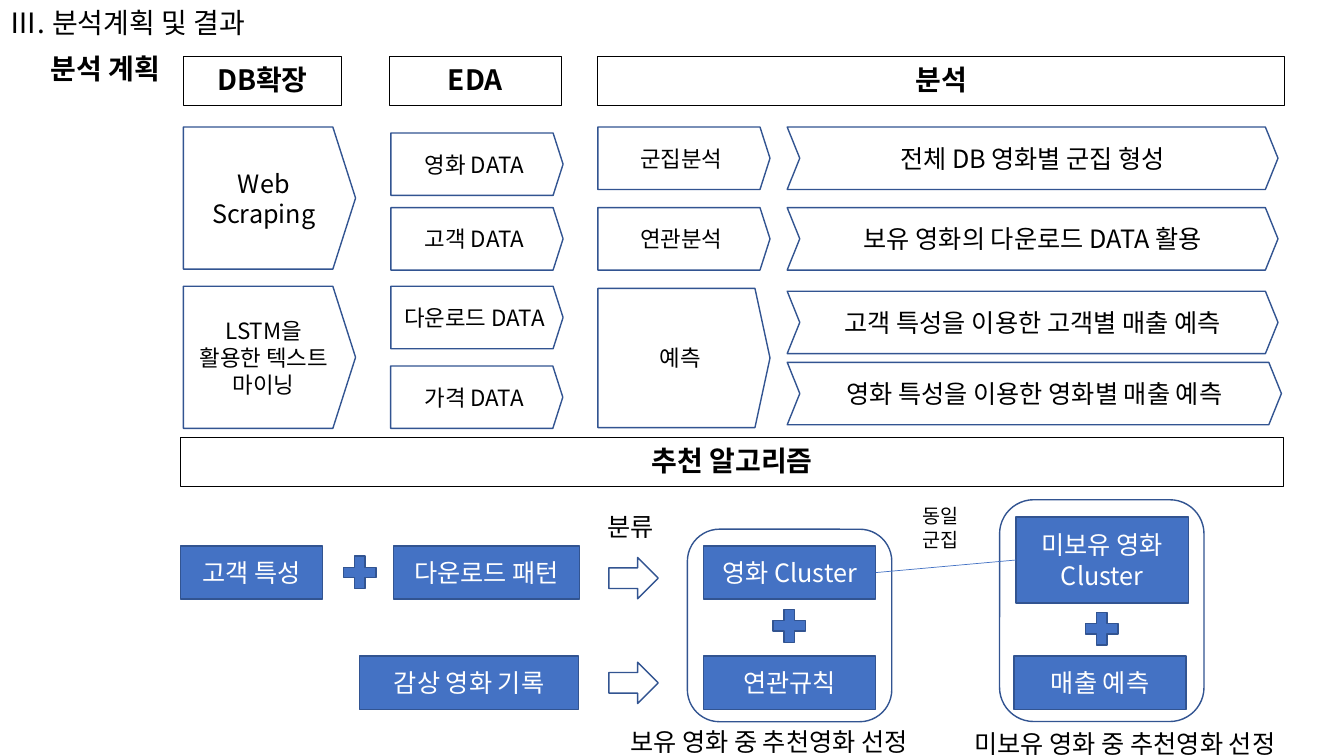
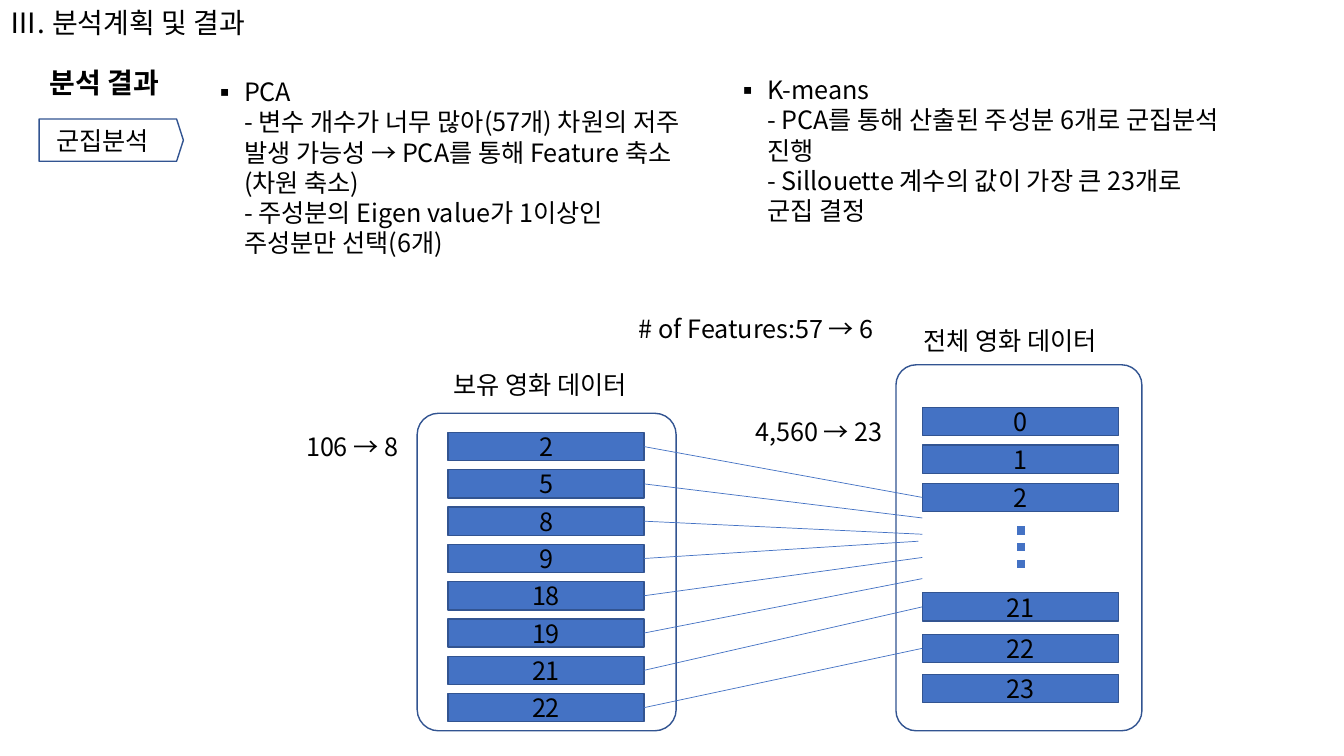
from dataclasses import dataclass
from typing import Optional

from lxml.etree import SubElement
from pptx import Presentation
from pptx.dml.color import RGBColor
from pptx.enum.dml import MSO_LINE
from pptx.enum.shapes import MSO_CONNECTOR, MSO_SHAPE as Preset
from pptx.enum.text import MSO_ANCHOR as Anchor, PP_ALIGN as Align
from pptx.oxml.ns import qn
from pptx.util import Pt

BLACK = RGBColor(0x00, 0x00, 0x00)
WHITE = RGBColor(0xFF, 0xFF, 0xFF)
BLUE = RGBColor(0x44, 0x72, 0xC4)
NAVY = RGBColor(0x32, 0x54, 0x91)
FONT = "Noto Sans CJK KR"
TOP, LEFT, BOTTOM, RIGHT = range(4)


@dataclass(frozen=True)
class TextStyle:
    size: float = 18
    color: RGBColor = BLACK
    bold: bool = False
    align: Align = Align.CENTER
    anchor: Anchor = Anchor.MIDDLE
    spacing: float = 1.0


@dataclass(frozen=True)
class Look:
    preset: Preset
    fill: Optional[RGBColor] = None
    line: RGBColor = NAVY
    weight: float = 1
    adjust: Optional[float] = None


@dataclass(frozen=True)
class Item:
    x: float
    y: float
    w: float
    h: float
    text: str = ""


# Text styles
TITLE = TextStyle(20, align=Align.LEFT, spacing=0.9)
HEADING = TextStyle(20, bold=True, spacing=0.9)
BODY = TextStyle()
SMALL = TextStyle(16)
ON_BLUE = TextStyle(color=WHITE)
LABEL = TextStyle(align=Align.LEFT, anchor=Anchor.TOP)
NOTE = TextStyle(14, align=Align.LEFT, anchor=Anchor.TOP)
CENTER_LABEL = TextStyle(anchor=Anchor.TOP)

# Shape looks
HEADER_BOX = Look(Preset.RECTANGLE, line=BLACK, weight=0.75)
STEP = Look(Preset.PENTAGON, adjust=0.16)
WIDE_STEP = Look(Preset.PENTAGON, adjust=0.108)
CHEVRON = Look(Preset.CHEVRON, adjust=0.202)
BLUE_BOX = Look(Preset.RECTANGLE, fill=BLUE)
PLUS = Look(Preset.MATH_PLUS, fill=BLUE)
ARROW = Look(Preset.RIGHT_ARROW, fill=WHITE)
GROUP = Look(Preset.ROUNDED_RECTANGLE)
DATA_GROUP = Look(Preset.ROUNDED_RECTANGLE, adjust=0.082)


def write(frame, text: str, style: TextStyle):
    frame.word_wrap = True
    frame.vertical_anchor = style.anchor
    paragraph = frame.paragraphs[0]
    paragraph.alignment = style.align
    paragraph.line_spacing = style.spacing
    for index, line in enumerate(text.split("\n")):
        if index:
            paragraph.add_line_break()
        run = paragraph.add_run()
        run.text = line
        font = run.font
        font.size, font.bold, font.name = Pt(style.size), style.bold, FONT
        font.color.rgb = style.color
        SubElement(font._element, qn("a:ea")).set("typeface", FONT)
    return paragraph


def draw(slide, item: Item, look: Look, style: TextStyle = BODY):
    shape = slide.shapes.add_shape(
        look.preset, Pt(item.x), Pt(item.y), Pt(item.w), Pt(item.h))
    shape.shadow.inherit = False
    if look.fill is None:
        shape.fill.background()
    else:
        shape.fill.solid()
        shape.fill.fore_color.rgb = look.fill
    shape.line.color.rgb = look.line
    shape.line.width = Pt(look.weight)
    if look.adjust is not None:
        shape.adjustments[0] = look.adjust
    if item.text:
        write(shape.text_frame, item.text, style)
    return shape


def label(slide, item: Item, style: TextStyle = LABEL):
    box = slide.shapes.add_textbox(
        Pt(item.x), Pt(item.y), Pt(item.w), Pt(item.h))
    return write(box.text_frame, item.text, style)


def bullet(slide, item: Item) -> None:
    properties = label(slide, item)._p.get_or_add_pPr()
    properties.set("marL", str(Pt(22.5)))
    properties.set("indent", str(-Pt(22.5)))
    SubElement(properties, qn("a:buFont")).set("typeface", FONT)
    SubElement(properties, qn("a:buChar")).set("char", "▪")


def link(slide, start: tuple[float, float], end: tuple[float, float],
         weight: float = 0.5):
    line = slide.shapes.add_connector(
        MSO_CONNECTOR.STRAIGHT, *(Pt(value) for value in start + end))
    line.line.color.rgb = BLUE
    line.line.width = Pt(weight)
    SubElement(line._element.spPr, qn("a:effectLst"))
    return line


def join(slide, source, target=None, end: tuple[float, float] = (0, 0)) -> None:
    line = link(slide, (0, 0), end)
    line.begin_connect(source, RIGHT)
    if target is not None:
        line.end_connect(target, LEFT)


def new_slide(deck, section: str, section_x: float, section_y: float):
    slide = deck.slides.add_slide(deck.slide_layouts[6])
    label(slide, Item(0, 0, 955.5, 35, "Ⅲ. 분석계획 및 결과"), TITLE)
    label(slide, Item(section_x, section_y, 113, 35, section), HEADING)
    return slide


def build_plan(deck) -> None:
    slide = new_slide(deck, "분석 계획", 18.7, 33)

    # Column headings
    for heading in (Item(131, 40.3, 113, 35, "DB확장"),
                    Item(278, 40.3, 123, 35, "EDA"),
                    Item(427, 40.3, 490.5, 35, "분석"),
                    Item(129, 312.5, 788, 35, "추천 알고리즘")):
        draw(slide, heading, HEADER_BOX, HEADING)

    # Database, EDA and analysis steps
    step_w, step_h = 123, 44.6
    row_1, row_2 = 90.75, 148.3
    draw(slide, Item(131, row_1, step_w, 101.5, "Web Scraping"), STEP)
    draw(slide, Item(131, 204.5, step_w, 101.5, "LSTM을 활용한 텍스트 마이닝"),
         STEP, SMALL)
    for x, y, text in ((279.2, 95, "영화 DATA"),
                       (279.2, row_2, "고객 DATA"),
                       (279.2, 204.5, "다운로드 DATA"),
                       (279, 261.4, "가격 DATA"),
                       (427, row_1, "군집분석"),
                       (427, row_2, "연관분석")):
        draw(slide, Item(x, y, step_w, step_h, text), STEP, SMALL)
    draw(slide, Item(427, 206, step_w, 99.4, "예측"), WIDE_STEP, SMALL)

    # What each analysis does
    for y, w, text in ((row_1, 350.6, "전체 DB 영화별 군집 형성"),
                       (row_2, 350.6, "보유 영화의 다운로드 DATA 활용"),
                       (208, 350.6, "고객 특성을 이용한 고객별 매출 예측"),
                       (258.8, 353, "영화 특성을 이용한 영화별 매출 예측")):
        draw(slide, Item(562.3, y, w, step_h, text), CHEVRON)

    # Recommendation algorithm
    draw(slide, Item(491, 378, 146, 137.5), GROUP)
    draw(slide, Item(714, 357, 146, 158.4), GROUP)
    upper, lower, box_h = 390, 468.7, 38
    for box in (Item(129, upper, 101.5, box_h, "고객 특성"),
                Item(281, upper, 133, box_h, "다운로드 패턴"),
                Item(257, lower, 156.2, box_h, "감상 영화 기록"),
                Item(502.6, lower, step_w, box_h, "연관규칙"),
                Item(724.3, lower, step_w, box_h, "매출 예측")):
        draw(slide, box, BLUE_BOX, ON_BLUE)
    owned = draw(slide, Item(502.6, upper, step_w, box_h, "영화 Cluster"),
                 BLUE_BOX, ON_BLUE)
    missing = draw(slide, Item(725.8, 369.4, step_w, 61.2, "미보유 영화 Cluster"),
                   BLUE_BOX, ON_BLUE)
    join(slide, owned, missing)
    for x, y in ((241.2, 393.1), (547.9, 431.3), (771.1, 433.4)):
        draw(slide, Item(x, y, 31.7, 31.7), PLUS)
    for y in (398.2, 473):
        draw(slide, Item(434.9, y, 35.3, 29.5), ARROW)

    # Captions
    for caption in (Item(427, 361.5, 51, 29, "분류"),
                    Item(443, 515, 242, 29, "보유 영화 중 추천영화 선정"),
                    Item(689, 517, 261, 29, "미보유 영화 중 추천영화 선정")):
        label(slide, caption)
    label(slide, Item(651.6, 356.4, 51, 41, "동일 군집"), NOTE)


def build_result(deck) -> None:
    slide = new_slide(deck, "분석 결과", 18, 42.5)
    method = draw(slide, Item(28, 85, 103, 30.2, "군집분석"), STEP)
    method.text_frame.margin_right = Pt(17)

    # Findings
    bullet(slide, Item(144.7, 51.1, 360.7, 160,
                       "PCA\n- 변수 개수가 너무 많아(57개) 차원의 저주 발생 가능성 → "
                       "PCA를 통해 Feature 축소(차원 축소)\n"
                       "- 주성분의 Eigen value가 1이상인 주성분만 선택(6개)"))
    bullet(slide, Item(518.4, 49.7, 360.7, 138,
                       "K-means\n- PCA를 통해 산출된 주성분 6개로 군집분석 진행\n"
                       "- Sillouette 계수의 값이 가장 큰 23개로 군집 결정"))

    # Data groups and their captions
    draw(slide, Item(298, 295.2, 185, 226.8), DATA_GROUP)
    draw(slide, Item(640, 260.6, 175.7, 261.4), DATA_GROUP)
    label(slide, Item(316.8, 260.6, 163.4, 29, "보유 영화 데이터"))
    label(slide, Item(652.3, 229, 163.4, 29, "전체 영화 데이터"))
    for change in (Item(178.6, 304.6, 146, 29, "106 → 8"),
                   Item(516.2, 293.8, 137.5, 29, "4,560 → 23"),
                   Item(440.6, 220.3, 199.4, 29, "# of Features:57 → 6")):
        label(slide, change, CENTER_LABEL)

    # Cluster bars
    bar_w, bar_h, all_x = 140, 20.2, 658.8
    all_tops = {"0": 290.9, "1": 318, "2": 345.2,
                "21": 423.4, "22": 453, "23": 481.7}
    all_bars = {number: draw(slide, Item(all_x, y, bar_w, bar_h, number), BLUE_BOX)
                for number, y in all_tops.items()}
    omitted = link(slide, (729.4, 375.8), (729.4, 409), 6)
    omitted.line.dash_style = MSO_LINE.ROUND_DOT

    # Owned clusters linked to the same cluster in the whole data
    loose_ends = {"5": (all_x, 370), "8": (all_x, 381.6), "9": (656, 386.6),
                  "18": (all_x, 398.2), "19": (all_x, 413.3)}
    for row, number in enumerate(("2", "5", "8", "9", "18", "19", "21", "22")):
        bar = draw(slide, Item(320, 308.9 + row * 26.64, bar_w, bar_h, number),
                   BLUE_BOX)
        join(slide, bar, all_bars.get(number), loose_ends.get(number, (0, 0)))


def main() -> None:
    deck = Presentation()
    deck.slide_width, deck.slide_height = Pt(960), Pt(540)
    build_plan(deck)
    build_result(deck)
    deck.save("out.pptx")


if __name__ == "__main__":
    main()
